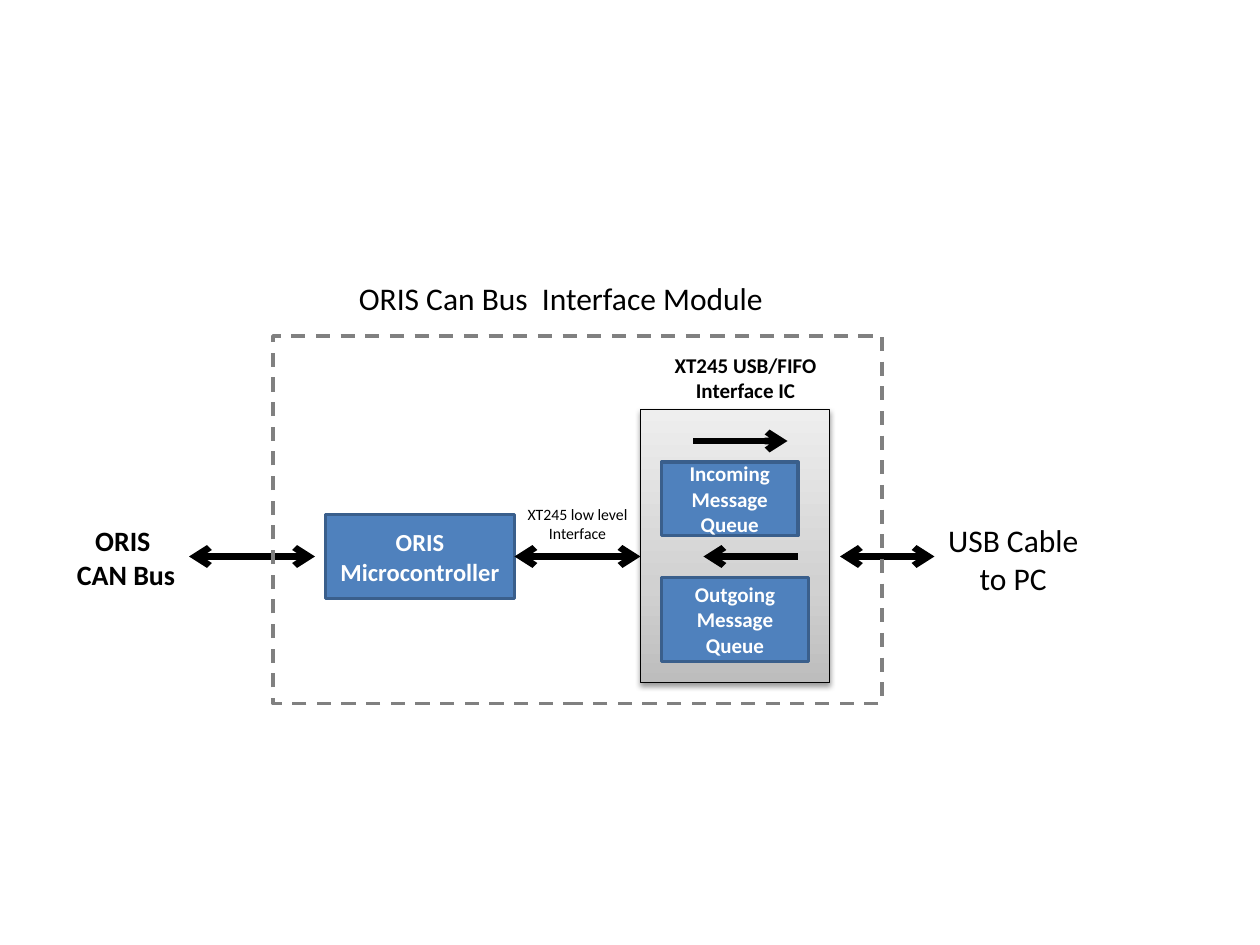
"""Draws a block diagram of a CAN bus to USB interface module."""
from copy import deepcopy

from lxml import etree
from pptx import Presentation
from pptx import util as u
from pptx.dml.color import RGBColor
from pptx.enum import dml, shapes, text
from pptx.oxml.ns import qn

BLUE = RGBColor(0x4F, 0x81, 0xBD)
NAVY = RGBColor(0x3A, 0x5F, 0x8C)
BLACK = RGBColor(0, 0, 0)
WHITE = RGBColor(0xFF, 0xFF, 0xFF)
GRAY = RGBColor(0x80, 0x80, 0x80)
CHIP_STOPS = (
    (0, RGBColor(0xBD, 0xBD, 0xBD)),
    (0.35, RGBColor(0xD1, 0xD1, 0xD1)),
    (1, RGBColor(0xEE, 0xEE, 0xEE)),
)
COLUMNS, ROWS = 120, 90


class Diagram:
    font = "Calibri"

    def __init__(self, presentation):
        self.slide = presentation.slides.add_slide(presentation.slide_layouts[6])
        self.column = presentation.slide_width / COLUMNS
        self.row = presentation.slide_height / ROWS

    def grid(self, *lengths):
        units = (self.column, self.row) * 2
        return [u.Emu(round(length * unit)) for length, unit in zip(lengths, units)]

    def add_lines(self, frame, lines, size, color, bold, align):
        frame.word_wrap = True
        for index, line in enumerate(lines):
            paragraph = frame.add_paragraph() if index else frame.paragraphs[0]
            paragraph.alignment = align
            run = paragraph.add_run()
            run.text = line
            run.font.name = self.font
            run.font.size = u.Pt(size)
            run.font.bold = bold
            run.font.color.rgb = color

    def box(self, place, line_color, line_width):
        shape = self.slide.shapes.add_shape(
            shapes.MSO_SHAPE.RECTANGLE, *self.grid(*place))
        shape.shadow.inherit = False
        shape.fill.background()
        shape.line.color.rgb = line_color
        shape.line.width = u.Pt(line_width)
        return shape

    def block(self, place, label, size):
        shape = self.box(place, NAVY, 2)
        shape.fill.solid()
        shape.fill.fore_color.rgb = BLUE
        shape.text_frame.vertical_anchor = text.MSO_ANCHOR.MIDDLE
        self.add_lines(shape.text_frame, [label], size, WHITE, True, text.PP_ALIGN.CENTER)

    def chip(self, place):
        shape = self.box(place, BLACK, 0.75)
        shape.fill.gradient()
        shape.fill.gradient_angle = 90
        properties = shape._element.spPr
        stop_list = properties.find(".//" + qn("a:gsLst"))
        stop_list.append(deepcopy(stop_list[0]))
        for stop, (position, color) in zip(shape.fill.gradient_stops, CHIP_STOPS):
            stop.position = position
            stop.color.rgb = color
        shadow = etree.SubElement(
            properties.find(qn("a:effectLst")), qn("a:outerShdw"),
            blurRad=str(u.Pt(3.1)), dist=str(u.Pt(1.6)), dir="5400000", rotWithShape="0")
        color = etree.SubElement(shadow, qn("a:srgbClr"), val=str(BLACK))
        etree.SubElement(color, qn("a:alpha"), val="38000")

    def frame(self, place):
        shape = self.box(place, GRAY, 2)
        shape.line.dash_style = dml.MSO_LINE.DASH

    def arrow(self, start, end, row, ends=("tailEnd",)):
        connector = self.slide.shapes.add_connector(
            shapes.MSO_CONNECTOR.STRAIGHT, *self.grid(start, row, end, row))
        connector.line.color.rgb = BLACK
        connector.line.width = u.Pt(3.75)
        for name in ends:
            etree.SubElement(connector.line._ln, qn("a:" + name), type="arrow")
        etree.SubElement(connector._element.spPr, qn("a:effectLst"))

    def link(self, start, end, row):
        self.arrow(start, end, row, ("headEnd", "tailEnd"))

    def label(self, place, lines, size, bold=False, align=text.PP_ALIGN.CENTER):
        shape = self.slide.shapes.add_textbox(*self.grid(*place))
        self.add_lines(shape.text_frame, lines, size, BLACK, bold, align)
        shape.text_frame.auto_size = text.MSO_AUTO_SIZE.SHAPE_TO_FIT_TEXT


presentation = Presentation()
presentation.slide_width = u.Inches(10)
presentation.slide_height = u.Inches(7.5)
diagram = Diagram(presentation)
BUS_ROW = 53

diagram.block((31, 49, 18, 8), "ORIS Microcontroller", 14)
diagram.chip((61, 39, 18, 26))
diagram.block((63, 44, 13, 7), "Incoming Message Queue", 12)
diagram.block((63, 55, 14, 8), "Outgoing Message Queue", 12)
diagram.arrow(66, 75, 42)
diagram.arrow(76, 67, BUS_ROW)
diagram.label((63, 33, 16, 6), ["XT245 USB/FIFO Interface IC"], 12, bold=True)
for start, end in ((80, 89), (49, 61), (18, 30)):
    diagram.link(start, end, BUS_ROW)
diagram.label((89, 49, 15, 8.5), ["USB Cable to PC"], 18)
diagram.label((33, 26, 44, 4.8), ["ORIS Can Bus  Interface Module"], 18,
              align=text.PP_ALIGN.LEFT)
diagram.label((49, 47.5, 12, 4.8), ["XT245 low level Interface"], 9)
diagram.frame((26, 32, 58, 35))
diagram.label((4, 49.3, 16, 7.7), ["ORIS ", "CAN Bus"], 16, bold=True)

presentation.save("out.pptx")
